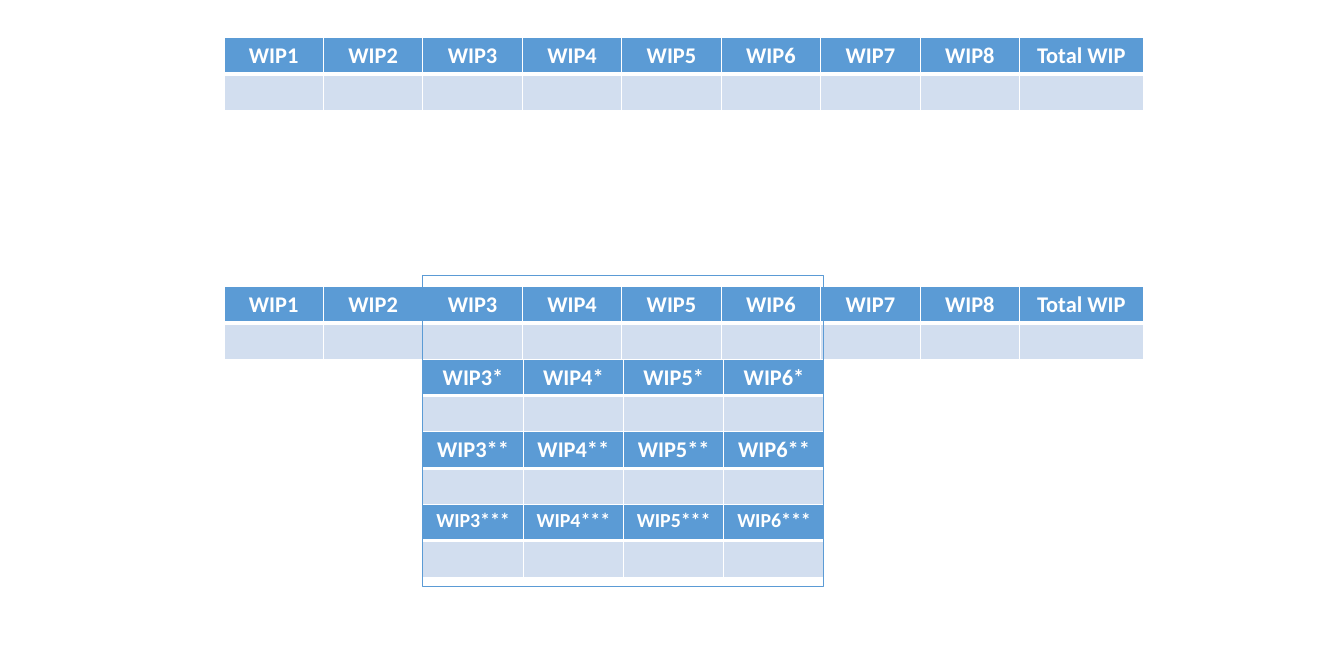
from lxml.etree import SubElement
from pptx import Presentation
from pptx.dml.color import RGBColor
from pptx.enum.shapes import MSO_SHAPE
from pptx.enum.text import PP_ALIGN
from pptx.oxml.ns import qn
from pptx.util import Inches, Pt

BLUE, PALE, WHITE = "5B9BD5", "D2DEEF", "FFFFFF"
TABLE_HEIGHT = 0.81
STAGE_WIDTH, TOTAL_WIDTH, REWORK_WIDTH = 1.11, 1.38, 1.12
STAGE_LEFT, REWORK_LEFT, LOWER_TOP = 2.5, 4.72, 3.2
STAGES = [f"WIP{number}" for number in range(1, 9)] + ["Total WIP"]
STAGE_WIDTHS = [STAGE_WIDTH] * 8 + [TOTAL_WIDTH]
STAGE_TOPS = [0.42, LOWER_TOP]
REWORK_STAGES = STAGES[2:6]
REWORK_LEVELS = [("*", 18), ("**", 18), ("***", 16)]
FRAME = (REWORK_LEFT, 3.08, 4.47, 3.47)


def color(value):
    return RGBColor.from_string(value)


def set_borders(cell, top, bottom):
    properties = cell._tc.get_or_add_tcPr()
    for edge, width in (("L", 1), ("R", 1), ("T", top), ("B", bottom)):
        line = SubElement(properties, qn(f"a:ln{edge}"), w=str(Pt(width)))
        fill = SubElement(line, qn("a:solidFill"))
        SubElement(fill, qn("a:srgbClr"), val=WHITE)


def style_cell(cell, fill, top, bottom):
    set_borders(cell, top, bottom)
    cell.fill.solid()
    cell.fill.fore_color.rgb = color(fill)


def add_wip_table(page, labels, widths, left, top, size=18):
    table = page.shapes.add_table(
        2, len(labels), Inches(left), Inches(top),
        Inches(sum(widths)), Inches(TABLE_HEIGHT),
    ).table
    for index, (label, width) in enumerate(zip(labels, widths)):
        table.columns[index].width = Inches(width)
        header = table.cell(0, index)
        header.text = label
        para = header.text_frame.paragraphs[0]
        para.alignment = PP_ALIGN.CENTER
        para.font.name, para.font.size, para.font.bold = "Calibri", Pt(size), True
        para.font.color.rgb = color(WHITE)
        style_cell(header, BLUE, 1, 3)
        style_cell(table.cell(1, index), PALE, 3, 1)


def build():
    """Build the work-in-progress slide."""
    deck = Presentation()
    deck.slide_width, deck.slide_height = Inches(15), Inches(7.5)
    page = deck.slides.add_slide(deck.slide_layouts[6])
    for top in STAGE_TOPS:
        add_wip_table(page, STAGES, STAGE_WIDTHS, STAGE_LEFT, top)
    for level, (mark, size) in enumerate(REWORK_LEVELS, start=1):
        labels = [stage + mark for stage in REWORK_STAGES]
        top = LOWER_TOP + level * TABLE_HEIGHT
        add_wip_table(page, labels, [REWORK_WIDTH] * len(labels), REWORK_LEFT, top, size)
    frame = page.shapes.add_shape(MSO_SHAPE.RECTANGLE, *map(Inches, FRAME))
    frame.shadow.inherit = False
    frame.fill.background()
    frame.line.color.rgb = color(BLUE)
    frame.line.width = Pt(0.75)
    deck.save("out.pptx")


build()
